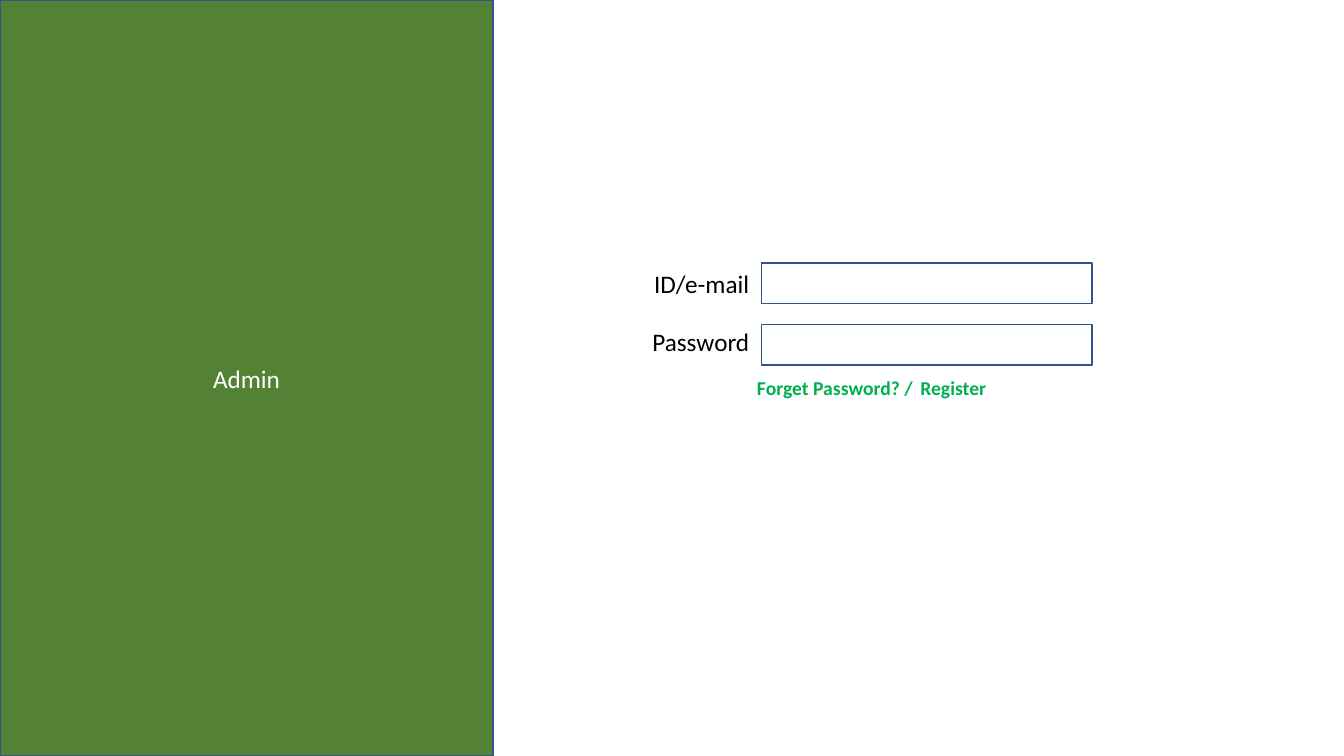
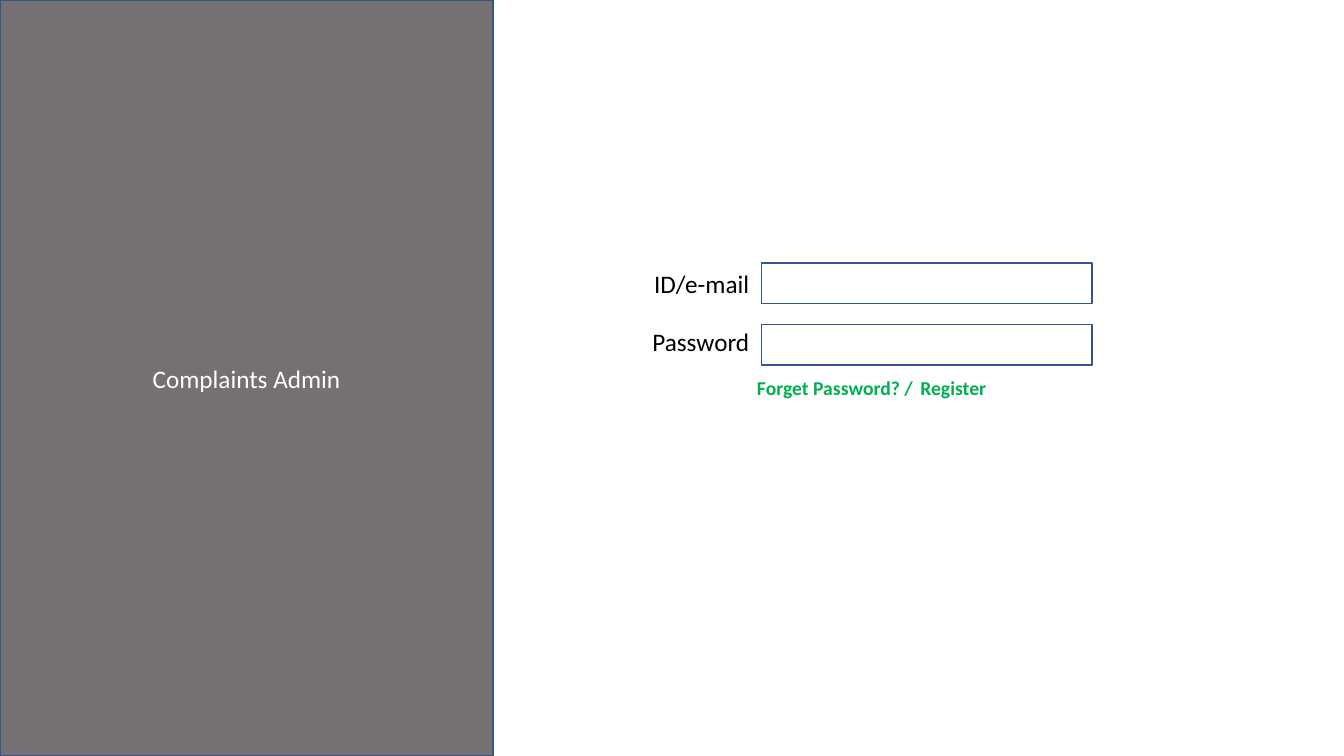
from pptx import Presentation
from pptx import util as u
from pptx.dml.color import RGBColor
from pptx.enum import shapes, text

COLORS = {
    "admin": "548235",
    "complaints": "767171",
    "outline": "325491",
    "panel_text": "FFFFFF",
    "label": "000000",
    "link": "00B050",
}
FONT = "Calibri"
SLIDE_W, SLIDE_H = 13.33, 7.5
PANEL_W = 4.89
FORM_BOX = (6.36, 2.61, 4.47, 1.41)
LABEL_W, FIELD_X, ROW_H = 1.17, 1.19, 0.4
LABEL_PITCH, FIELD_PITCH = 0.58, 0.61
LABELS = ["ID/e-mail", "Password"]
LINKS = [("Forget Password? /", 1.05, 1.76), ("Register", 2.67, 0.86)]
LINKS_Y, LINK_H = 1.07, 0.34
ROLES = [("Admin", "admin"), ("Complaints Admin", "complaints")]


def rgb(name):
    return RGBColor.from_string(COLORS[name])


def inches(*lengths):
    return [u.Inches(n) for n in lengths]


def outline(sp):
    sp.line.color.rgb = rgb("outline")
    sp.line.width = u.Pt(1)


def write(tf, words, size, color, align, bold=False):
    p = tf.paragraphs[0]
    p.alignment = align
    r = p.add_run()
    r.text = words
    r.font.name = FONT
    r.font.size = u.Pt(size)
    r.font.bold = bold
    r.font.color.rgb = rgb(color)


def add_text(s, box, words, size, color, align=text.PP_ALIGN.LEFT, bold=False):
    tf = s.shapes.add_textbox(*inches(*box)).text_frame
    tf.word_wrap = False
    write(tf, words, size, color, align, bold)


def add_field(s, box):
    sp = s.shapes.add_shape(shapes.MSO_SHAPE.RECTANGLE, *inches(*box))
    sp.shadow.inherit = False
    sp.fill.background()
    outline(sp)


def role_panel(s, box, role, color):
    """Turn the title placeholder into the coloured side panel."""
    sp = s.shapes.title
    sp.left, sp.top, sp.width, sp.height = inches(*box)
    sp.fill.solid()
    sp.fill.fore_color.rgb = rgb(color)
    outline(sp)
    tf = sp.text_frame
    tf.auto_size = text.MSO_AUTO_SIZE.NONE
    tf.vertical_anchor = text.MSO_ANCHOR.MIDDLE
    write(tf, role, 18, "panel_text", text.PP_ALIGN.CENTER)


def login_form(s, box):
    x, y, w, h = box
    for row, label in enumerate(LABELS):
        add_text(s, (x, y + row * LABEL_PITCH, LABEL_W, ROW_H), label, 18,
                 "label", text.PP_ALIGN.RIGHT)
        add_field(s, (x + FIELD_X, y + row * FIELD_PITCH, w - FIELD_X, ROW_H))
    for words, dx, width in LINKS:
        add_text(s, (x + dx, y + LINKS_Y, width, LINK_H), words, 14, "link",
                 bold=True)


def login_slide(prs, role, color):
    s = prs.slides.add_slide(prs.slide_layouts.get_by_name("Title Only"))
    role_panel(s, (0, 0, PANEL_W, SLIDE_H), role, color)
    login_form(s, FORM_BOX)


def main():
    prs = Presentation()
    prs.slide_width, prs.slide_height = inches(SLIDE_W, SLIDE_H)
    for role, color in ROLES:
        login_slide(prs, role, color)
    prs.save("out.pptx")


if __name__ == "__main__":
    main()
